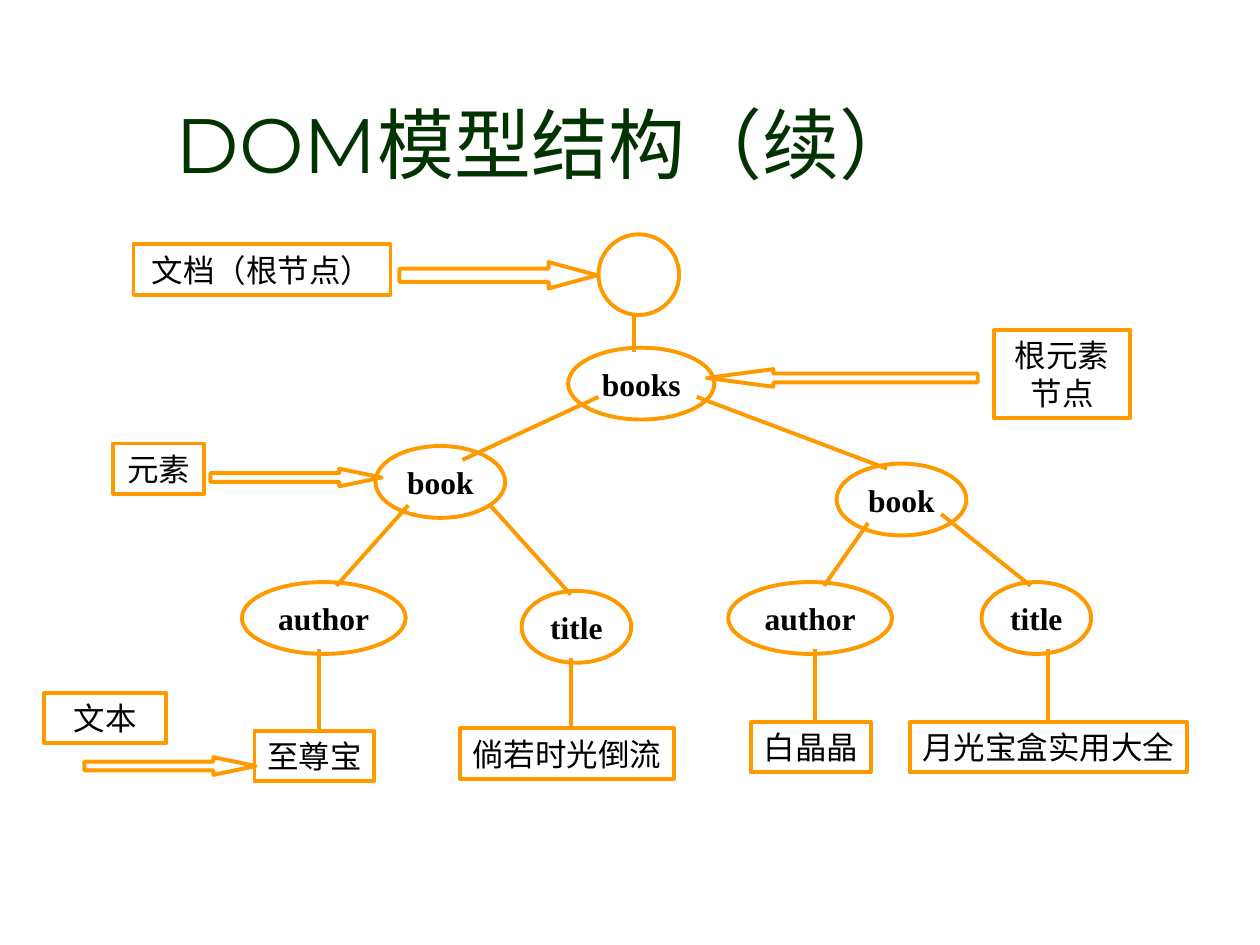
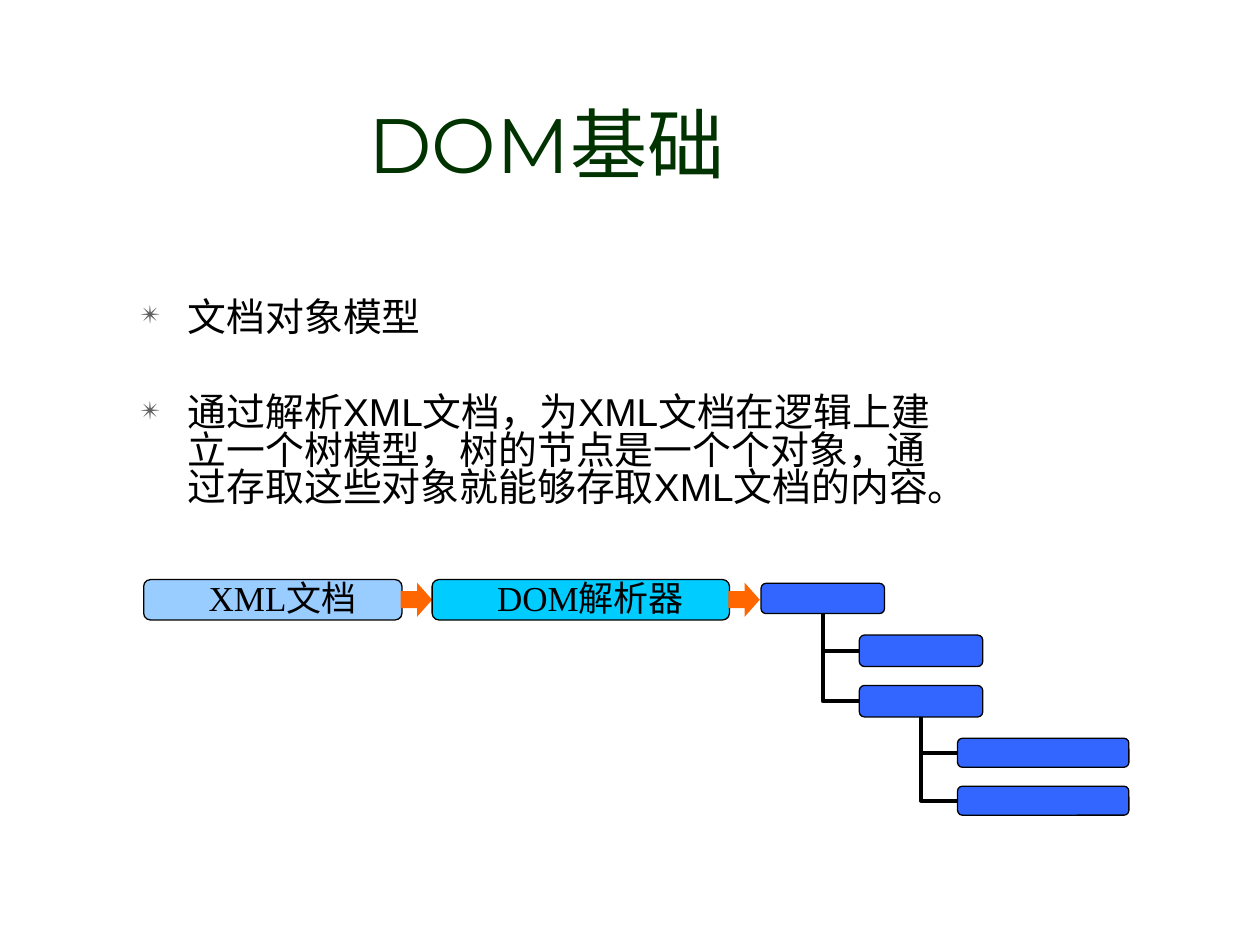
from lxml import etree
from pptx import Presentation, util as u
from pptx.dml.color import RGBColor
from pptx.enum import shapes, text
from pptx.oxml.ns import qn

# The slide is a grid of 100 columns by 75 rows of square cells.
CELL = u.Inches(0.1)
COLS, ROWS = 100, 75

BLACK = RGBColor(0x00, 0x00, 0x00)
GREEN = RGBColor(0x00, 0x33, 0x00)
AMBER = RGBColor(0xFF, 0x99, 0x00)
RED = RGBColor(0xFF, 0x66, 0x00)
BLUE = RGBColor(0x33, 0x66, 0xFF)
CYAN = RGBColor(0x00, 0xCC, 0xFF)
PALE = RGBColor(0x99, 0xCC, 0xFF)

HEAD = {"name": "Montserrat", "size": u.Pt(44)}
LIST = {"name": "Arial", "size": u.Pt(22.2)}
NOTE = {"name": "Times New Roman", "size": u.Pt(18), "bold": False}
NODE = {**NOTE, "bold": True}
STEP = {**NOTE, "size": u.Pt(20)}

KIND = shapes.MSO_SHAPE
WIRE = shapes.MSO_CONNECTOR
ALIGN = text.PP_ALIGN


def draw(slide, kind, box, fill=None, line=None, width=2.25, label="", font=NOTE, wrap=False):
    """Add a shape at a (left, top, width, height) box of grid cells."""
    shape = slide.shapes.add_shape(kind, *(int(n * CELL) for n in box))
    shape.shadow.inherit = False
    for part, tint in ((shape.fill, fill), (shape.line.fill, line)):
        if tint is None:
            part.background()
        else:
            part.solid()
            part.fore_color.rgb = tint
    if line is not None:
        shape.line.width = u.Pt(width)
    if label:
        frame = shape.text_frame
        frame.text = label
        frame.word_wrap = wrap
        frame.vertical_anchor = text.MSO_ANCHOR.MIDDLE
        para = frame.paragraphs[0]
        para.alignment = ALIGN.CENTER
        for key, val in font.items():
            setattr(para.font, key, val)
        para.font.color.rgb = BLACK
    return shape


def join(slide, kind, ends, tint):
    wire = slide.shapes.add_connector(kind, *(int(n * CELL) for n in ends))
    wire.line.color.rgb = tint
    wire.line.width = u.Pt(2.25)
    etree.SubElement(wire._element.spPr, qn("a:effectLst"))
    return wire


deck = Presentation()
deck.slide_width, deck.slide_height = COLS * CELL, ROWS * CELL

# Titles
pages = []
for layout, name in ((5, "DOM模型结构（续）"), (1, "DOM基础")):
    page = deck.slides.add_slide(deck.slide_layouts[layout])
    title = page.shapes.title
    spot = {"left": 2.5, "top": 7.2, "width": 81.7, "height": 8.3}
    for key, val in spot.items():
        setattr(title, key, int(val * CELL))
    title.text_frame.text = name
    title.text_frame.auto_size = text.MSO_AUTO_SIZE.NONE
    title.text_frame.vertical_anchor = text.MSO_ANCHOR.MIDDLE
    para = title.text_frame.paragraphs[0]
    para.alignment = ALIGN.CENTER
    for key, val in HEAD.items():
        setattr(para.font, key, val)
    para.font.color.rgb = GREEN
    pages.append(page)
model, basics = pages

# Slide 1: element nodes, each 5.7 rows tall
draw(model, KIND.OVAL, (47.5, 18.6, 6.4, 6.4), line=AMBER)
for label, x, y, w in (
    ("books", 45.1, 27.6, 11.6),
    ("book", 29.8, 35.4, 10.3),
    ("book", 66.4, 36.8, 10.3),
    ("author", 19.2, 46.2, 13),
    ("title", 41.4, 46.9, 8.7),
    ("author", 57.8, 46.2, 13),
    ("title", 77.9, 46.2, 8.7),
):
    draw(model, KIND.OVAL, (x, y, w, 5.7), line=AMBER, label=label, font=NODE)

# Text leaves, then the notes beside the tree
for label, x, y, w in (
    ("至尊宝", 20.2, 58, 9.5),
    ("倘若时光倒流", 36.5, 57.8, 17),
    ("白晶晶", 59.6, 57.3, 9.5),
    ("月光宝盒实用大全", 72.2, 57.3, 22),
):
    draw(model, KIND.RECTANGLE, (x, y, w, 4), line=AMBER, label=label)
for label, box in (
    ("文档（根节点）", (10.6, 19.4, 20.4, 4)),
    ("根元素节点", (78.9, 26.2, 10.8, 7)),
    ("元素", (9, 35.2, 7.2, 4)),
    ("文本", (3.5, 55, 9.7, 4)),
):
    draw(model, KIND.RECTANGLE, box, line=AMBER, label=label, wrap=True)

# Block arrows from note to node
for kind, box, tip in (
    (KIND.RIGHT_ARROW, (31.7, 20.8, 15.7, 2.1), 1.84),
    (KIND.LEFT_ARROW, (56.1, 29.3, 21.5, 1.4), 3.77),
    (KIND.RIGHT_ARROW, (16.7, 37.2, 13.6, 1.4), 2.4),
    (KIND.RIGHT_ARROW, (6.7, 60.1, 13.6, 1.4), 2.4),
):
    arrow = draw(model, kind, box, line=AMBER)
    arrow.adjustments[0], arrow.adjustments[1] = 0.5, tip

# Branches
for ends in (
    (50.3, 25.1, 50.3, 27.9),
    (47.5, 31.5, 36.7, 36.5),
    (55.3, 31.5, 70.4, 37.2),
    (32.4, 40.1, 26.7, 46.5),
    (38.9, 40.1, 45.3, 47.2),
    (68.9, 41.5, 65.4, 46.5),
    (74.7, 40.8, 81.8, 46.5),
    (25.3, 51.5, 25.3, 57.9),
    (45.3, 52.2, 45.3, 57.9),
    (64.7, 51.5, 64.7, 57.2),
    (83.2, 51.5, 83.2, 57.2),
):
    join(model, WIRE.STRAIGHT, ends, AMBER)

# Slide 2: bullet list
body = basics.placeholders[1]
spot = {"left": 10.1, "top": 23.4, "width": 66.1, "height": 20.7}
for key, val in spot.items():
    setattr(body, key, int(val * CELL))
frame = body.text_frame
frame.text = (
    "文档对象模型\n"
    "通过解析XML文档，为XML文档在逻辑上建立一个树模型，树的节点是一个个对象，"
    "通过存取这些对象就能够存取XML文档的内容。"
)
frame.auto_size = text.MSO_AUTO_SIZE.NONE
for para, gap in zip(frame.paragraphs, (0, 33.5)):
    para.line_spacing = 0.8
    para.space_before = u.Pt(gap)
    props = para._p.get_or_add_pPr()
    props.set("marL", str(u.Inches(0.38)))
    props.set("indent", str(-u.Inches(0.38)))
    tint = etree.SubElement(props, qn("a:buClr"))
    etree.SubElement(tint, qn("a:srgbClr"), val="5F5F5F")
    etree.SubElement(props, qn("a:buSzPct"), val="65000")
    etree.SubElement(props, qn("a:buChar"), char="✴")
    for key, val in LIST.items():
        setattr(para.font, key, val)
    para.font.color.rgb = BLACK

# Object tree: box and index of the parent; wires go behind the boxes
tree = (
    ((60.4, 46.3, 9.8, 2.4), None),
    ((68.2, 50.4, 9.8, 2.5), 0),
    ((68.2, 54.4, 9.8, 2.5), 0),
    ((76, 58.6, 13.6, 2.3), 2),
    ((76, 62.4, 13.6, 2.3), 2),
)
for (x, y, w, h), up in tree:
    if up is not None:
        left, top, wide, tall = tree[up][0]
        ends = (left + wide / 2, top + tall, x, y + h / 2)
        wire = join(basics, WIRE.ELBOW, ends, BLACK)
        wire._element.spPr.find(qn("a:prstGeom")).set("prst", "bentConnector2")
        wire._element.spPr.find(qn("a:xfrm")).set("rot", "10800000")
for box, up in tree:
    draw(basics, KIND.ROUNDED_RECTANGLE, box, BLUE, BLACK, 0.75)

# Parsing steps and the arrow after each
for label, x, w, tint in (("XML文档", 11.4, 20.5, PALE), ("DOM解析器", 34.3, 23.6, CYAN)):
    step = draw(basics, KIND.FLOWCHART_ALTERNATE_PROCESS, (x, 46, w, 3.2),
                tint, BLACK, 0.75, label, STEP)
    step.text_frame.margin_left = 0
    para = step.text_frame.paragraphs[0]
    para.alignment = ALIGN.LEFT
    para.line_spacing = 0.9
    props = para._p.get_or_add_pPr()
    props.set("marL", str(u.Inches(1)))
    props.set("indent", str(-u.Inches(0.5)))
    arrow = draw(basics, KIND.UP_ARROW, (x + w - 0.2, 46.35, 2.7, 2.5), RED)
    arrow.rotation = 90
    arrow.adjustments[0], arrow.adjustments[1] = 0.5, 0.48

deck.save("out.pptx")
